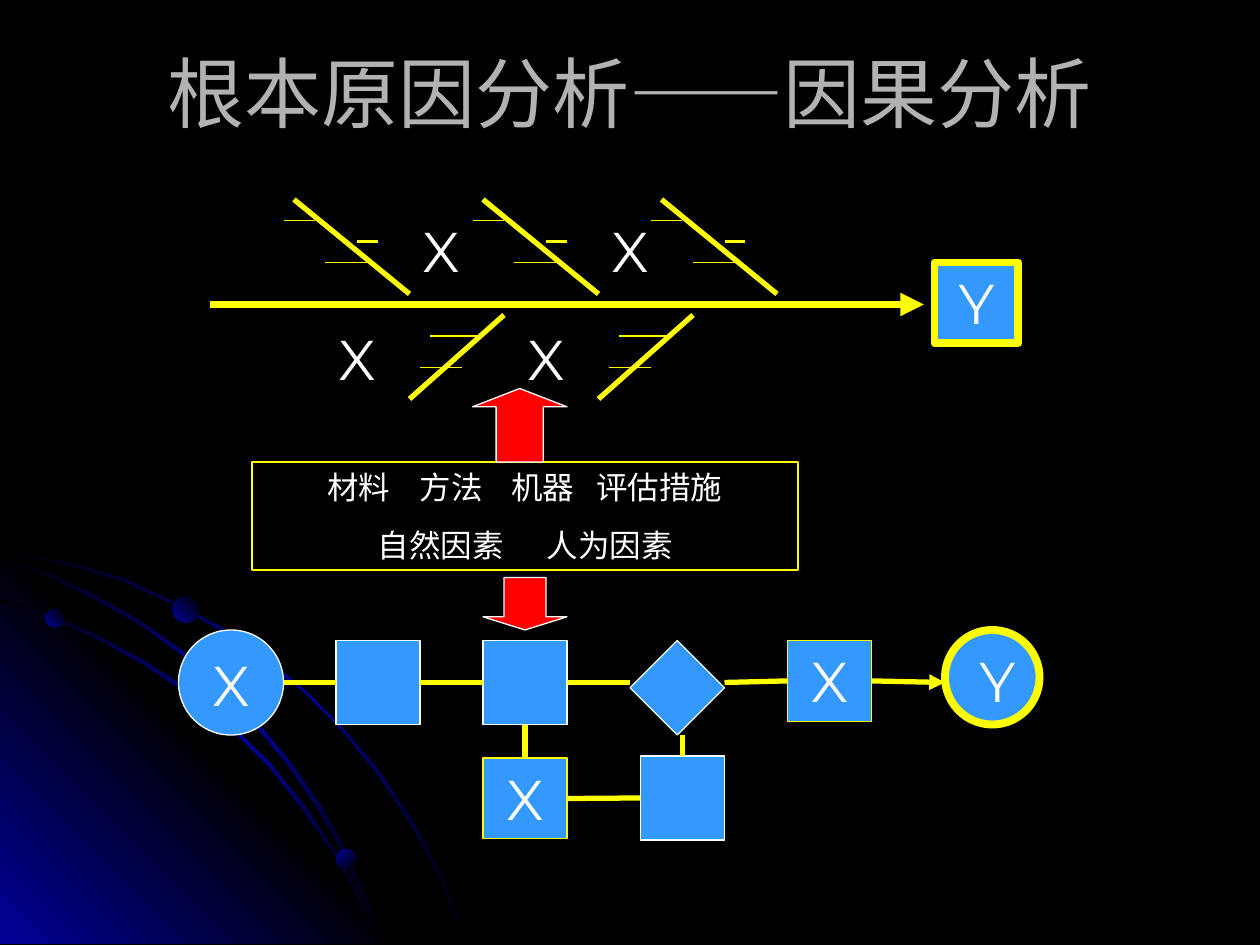
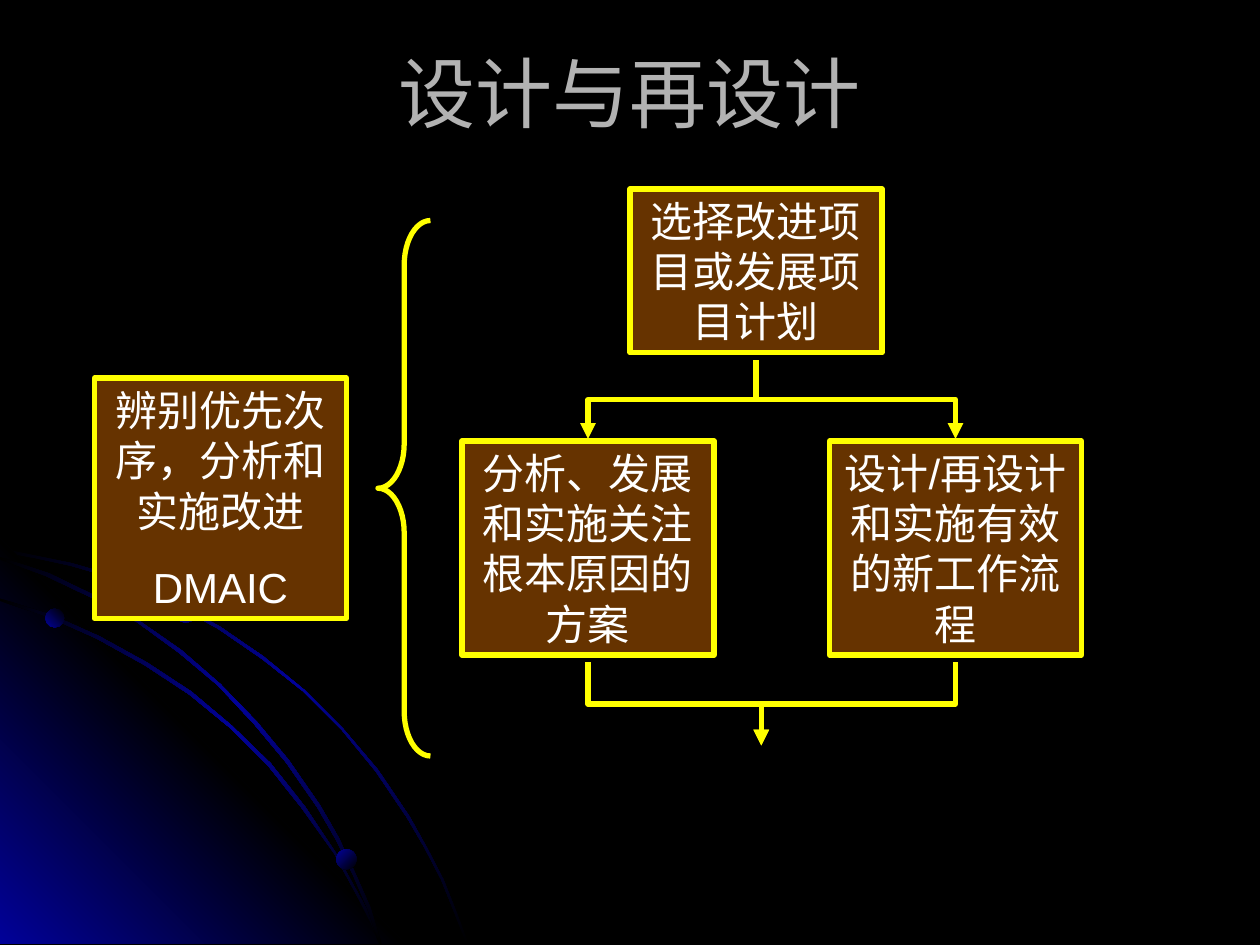
import lxml.etree
import pptx
import pptx.dml.color
import pptx.enum.shapes
import pptx.enum.text
import pptx.oxml
import pptx.oxml.ns
import pptx.util

BLACK = pptx.dml.color.RGBColor(0x00, 0x00, 0x00)
NAVY = pptx.dml.color.RGBColor(0x01, 0x01, 0x99)
GRAY = pptx.dml.color.RGBColor(0xB2, 0xB2, 0xB2)
WHITE = pptx.dml.color.RGBColor(0xFF, 0xFF, 0xFF)
YELLOW = pptx.dml.color.RGBColor(0xFF, 0xFF, 0x00)
BLUE = pptx.dml.color.RGBColor(0x33, 0x99, 0xFF)
BROWN = pptx.dml.color.RGBColor(0x66, 0x33, 0x00)
RED = pptx.dml.color.RGBColor(0xFF, 0x00, 0x00)

INCH = pptx.util.Cm(2.54)
GRID = INCH // 12
FINE = INCH // 100
TOP, LEFT, BOTTOM, RIGHT = range(4)

SHAPE = pptx.enum.shapes.MSO_SHAPE
CONNECTOR = pptx.enum.shapes.MSO_CONNECTOR
ALIGN = pptx.enum.text.PP_ALIGN
ANCHOR = pptx.enum.text.MSO_ANCHOR
FIT = pptx.enum.text.MSO_AUTO_SIZE
qn = pptx.oxml.ns.qn

ARCS = [
    [(57, 447), (28, 441), (0, 435), (0, 438), (28, 443), (56, 449), (97, 461),
     (135, 478), (173, 499), (208, 523), (241, 549), (271, 579), (298, 612),
     (323, 649), (337, 673), (350, 698), (360, 723), (370, 749), (372, 749),
     (362, 723), (352, 698), (339, 673), (325, 648), (300, 611), (272, 578),
     (242, 548), (209, 521), (174, 497), (136, 477), (98, 459)],
    [(285, 714), (294, 732), (301, 749), (303, 749), (296, 730), (286, 712),
     (266, 676), (242, 640), (215, 606), (184, 576), (152, 549), (117, 526),
     (79, 505), (41, 488), (0, 475), (0, 477), (39, 490), (77, 507),
     (115, 528), (150, 551), (183, 578), (213, 608), (240, 642), (265, 677)],
    [(0, 442), (0, 444), (36, 457), (74, 475), (109, 494), (142, 518),
     (173, 544), (202, 575), (227, 605), (252, 641), (267, 667), (280, 694),
     (292, 722), (301, 749), (303, 749), (294, 720), (282, 693), (269, 665),
     (254, 639), (229, 603), (204, 573), (175, 543), (144, 516), (111, 493),
     (76, 473), (39, 455)],
]
CORNER = [(322, 749), (0, 749), (0, 427)]
DOTS = [(36, 483, 15, 135), (267, 674, 16, 225), (137, 473, 21, 135)]


def grid(*values):
    return [round(v * GRID) for v in values]


class Deck:
    def __init__(self):
        self.prs = pptx.Presentation()
        self.prs.slide_width = pptx.util.Cm(25.4)
        self.prs.slide_height = pptx.util.Cm(19.05)
        fill = self.prs.slide_master.background.fill
        fill.solid()
        fill.fore_color.rgb = BLACK
        self.s = None

    def slide(self, title):
        self.s = self.prs.slides.add_slide(self.prs.slide_layouts[5])
        sp = self.s.shapes.title
        sp.left, sp.top, sp.width, sp.height = grid(6, 3.6, 108, 10.2)
        self.set_text(sp, [title], 44, "Arial", color=GRAY, anchor=ANCHOR.MIDDLE, fit=FIT.NONE)

    def set_text(self, sp, lines, size, font, before=0, color=WHITE,
                 anchor=ANCHOR.TOP, fit=FIT.SHAPE_TO_FIT_TEXT, align=ALIGN.CENTER):
        tf = sp.text_frame
        tf.word_wrap = True
        tf.auto_size = fit
        tf.vertical_anchor = anchor
        tf.text = "\n".join(lines)
        for p in tf.paragraphs:
            p.alignment = align
            p.space_before = pptx.util.Pt(before)
            p.font.size = pptx.util.Pt(size)
            p.font.name = font
            p.font.color.rgb = color
            props = p._p.pPr.find(qn("a:defRPr"))
            lxml.etree.SubElement(props, qn("a:ea")).set("typeface", "Noto Sans CJK SC")

    def letter(self, sp, text):
        self.set_text(sp, [text], 32, "Montserrat", 20)

    def label(self, text, x, y):
        sp = self.s.shapes.add_textbox(*grid(x, y, 10, 7.7))
        self.letter(sp, text)

    def shape(self, kind, x, y, w, h, fill=None, line=WHITE, width=0.75, adjust=()):
        sp = self.s.shapes.add_shape(kind, *grid(x, y, w, h))
        sp.shadow.inherit = False
        if fill is None:
            sp.fill.background()
        else:
            sp.fill.solid()
            sp.fill.fore_color.rgb = fill
        sp.line.color.rgb = line
        sp.line.width = pptx.util.Pt(width)
        for i, value in enumerate(adjust):
            sp.adjustments[i] = value
        return sp

    def card(self, lines, x, y, h):
        sp = self.shape(SHAPE.RECTANGLE, x, y, 24, h, BROWN, YELLOW, 3)
        self.set_text(sp, lines, 24, "Arial", 15)

    def tabs(self, p, stops):
        props = p._p.pPr
        tab_list = lxml.etree.Element(qn("a:tabLst"))
        for pos in grid(*stops):
            lxml.etree.SubElement(tab_list, qn("a:tab"), pos=str(pos), algn="l")
        props.find(qn("a:defRPr")).addprevious(tab_list)

    def stroke(self, sp, width, arrow):
        sp.line.color.rgb = YELLOW
        sp.line.width = pptx.util.Pt(width)
        if arrow:
            ln = sp.element.spPr.find(qn("a:ln"))
            lxml.etree.SubElement(ln, qn("a:tailEnd"), type="triangle")
        lxml.etree.SubElement(sp.element.spPr, qn("a:effectLst"))

    def line(self, x1, y1, x2, y2, width=3, arrow=False, begin=None, end=None):
        sp = self.s.shapes.add_connector(CONNECTOR.STRAIGHT, *grid(x1, y1, x2, y2))
        if begin:
            sp.begin_connect(*begin)
        if end:
            sp.end_connect(*end)
        self.stroke(sp, width, arrow)

    def elbow(self, x1, y1, x2, y2):
        cx, cy = (x1 + x2) / 2, (y1 + y2) / 2
        dx, dy = (x2 - x1) / 2, (y2 - y1) / 2
        side = dy if dx > 0 else -dy
        sp = self.s.shapes.add_connector(
            CONNECTOR.ELBOW, *grid(cx + side, cy - abs(dx), cx - side, cy + abs(dx)))
        sp.rotation = 270 if dx > 0 else 90
        self.stroke(sp, 3, True)

    def gradient(self, sp, colors, angle):
        sp.shadow.inherit = False
        sp.line.fill.background()
        sp.fill.background()
        grad = lxml.etree.Element(qn("a:gradFill"), rotWithShape="1")
        stops = lxml.etree.SubElement(grad, qn("a:gsLst"))
        for i, color in enumerate(colors):
            pos = 100000 * i // (len(colors) - 1)
            gs = lxml.etree.SubElement(stops, qn("a:gs"), pos=str(pos))
            lxml.etree.SubElement(gs, qn("a:srgbClr"), val=str(color))
        lxml.etree.SubElement(grad, qn("a:lin"), ang=str(angle * 60000), scaled="0")
        props = sp.element.spPr
        props.replace(props.find(qn("a:noFill")), grad)
        return sp

    def outline(self, points, colors, angle):
        builder = self.s.shapes.build_freeform(*points[0], scale=FINE)
        builder.add_line_segments(points[1:], close=True)
        return self.gradient(builder.convert_to_shape(), colors, angle)

    def decorate_master(self):
        dark, light = (BLACK, NAVY, BLACK), (NAVY, BLACK, NAVY)
        parts = [self.outline(ARCS[0], dark, 225), self.outline(CORNER, light, 135)]
        parts += [self.outline(arc, dark, 225) for arc in ARCS[1:]]
        for x, y, size, angle in DOTS:
            box = [v * FINE for v in (x, y, size, size)]
            sp = self.s.shapes.add_shape(SHAPE.OVAL, *box)
            parts.append(self.gradient(sp, (BLACK, NAVY), angle))
        tree = self.prs.slide_master.shapes.element
        for i, sp in enumerate(parts):
            sp.element.nvSpPr.cNvPr.set("id", str(100 + i))
            tree.insert(2 + i, sp.element)


def fishbone(deck):
    deck.line(20, 29, 88, 29, 4.5, True)
    effect = deck.shape(SHAPE.RECTANGLE, 89, 25, 8, 7.7, BLUE, YELLOW, 4.5)
    deck.letter(effect, "Y")
    for x in (28, 46, 63):
        deck.line(x, 19, x + 11, 28)
        deck.line(x - 1, 21, x + 2, 21, 0.75)
        deck.line(x + 6, 23, x + 8, 23, 2.25)
        deck.line(x + 3, 25, x + 7, 25, 0.75)
    for x in (48, 66):
        deck.line(x, 30, x - 9, 38)
        deck.line(x - 7, 32, x - 2, 32, 0.75)
        deck.line(x - 8, 35, x - 4, 35, 0.75)
    for x, y in ((37, 20), (55, 20), (29, 30.3), (47, 30.3)):
        deck.label("X", x, y)


def process_flow(deck):
    deck.shape(SHAPE.OVAL, 90, 60, 9, 9, BLUE, YELLOW, 4.5)
    deck.shape(SHAPE.OVAL, 17, 60, 10, 10, BLUE)
    deck.label("Y", 90, 61)
    deck.label("X", 17, 61.4)
    rework = deck.shape(SHAPE.RECTANGLE, 46, 72.2, 8, 7.7, BLUE, YELLOW)
    last = deck.shape(SHAPE.RECTANGLE, 75, 61, 8, 7.7, BLUE, YELLOW)
    for sp in (rework, last):
        deck.letter(sp, "X")
    first, second, check = [deck.shape(SHAPE.RECTANGLE, x, y, 8, 8, BLUE)
                            for x, y in ((32, 61), (46, 61), (61, 72))]
    deck.shape(SHAPE.DIAMOND, 60, 61, 9, 9, BLUE)
    deck.line(27, 65, 32, 65, end=(first, LEFT))
    deck.line(40, 65, 46, 65, begin=(first, RIGHT), end=(second, LEFT))
    deck.line(54, 65, 60, 65, begin=(second, RIGHT))
    deck.line(69, 65, 75, 65, end=(last, LEFT))
    deck.line(83, 65, 90, 65, arrow=True, begin=(last, RIGHT))
    deck.line(50, 69, 50, 72, begin=(second, BOTTOM), end=(rework, TOP))
    deck.line(54, 76, 61, 76, begin=(rework, RIGHT), end=(check, LEFT))
    deck.line(65, 70, 65, 72, end=(check, TOP))


def factors(deck):
    sp = deck.shape(SHAPE.RECTANGLE, 24, 44, 52, 10.3, line=YELLOW)
    deck.set_text(sp, ["\t材料\t方法\t机器\t评估措施", "\t自然因素\t人为因素"],
                  18, "Noto Sans CJK SC", 11.2, fit=FIT.NONE, align=ALIGN.LEFT)
    for p, stops in zip(sp.text_frame.paragraphs, ((6, 14.8, 23.5, 31.6), (10.8, 26.9))):
        deck.tabs(p, stops)
    deck.shape(SHAPE.UP_ARROW, 45, 37, 9, 7, RED, adjust=(0.5, 0.25))
    deck.shape(SHAPE.DOWN_ARROW, 46, 55, 8, 5, RED, adjust=(0.5, 0.25))


def redesign(deck):
    deck.card(["辨别优先次序，分析和实施改进", "DMAIC"], 9, 36, 22.9)
    deck.card(["选择改进项目或发展项目计划"], 60, 18, 15.6)
    deck.card(["分析、发展和实施关注根本原因的方案"], 44, 42, 20.4)
    deck.card(["设计/再设计和实施有效的新工作流程"], 79, 42, 20.4)
    for x in (56, 91):
        deck.elbow(72, 34.3, x, 41.8)
        deck.elbow(x, 63.1, 72.5, 71)
    deck.shape(SHAPE.LEFT_BRACE, 36, 21, 5, 51, line=YELLOW, width=3, adjust=(0.85, 0.5))


def main():
    deck = Deck()
    deck.slide("根本原因分析——因果分析")
    fishbone(deck)
    process_flow(deck)
    factors(deck)
    deck.slide("设计与再设计")
    redesign(deck)
    deck.decorate_master()
    deck.prs.save("out.pptx")


if __name__ == "__main__":
    main()
